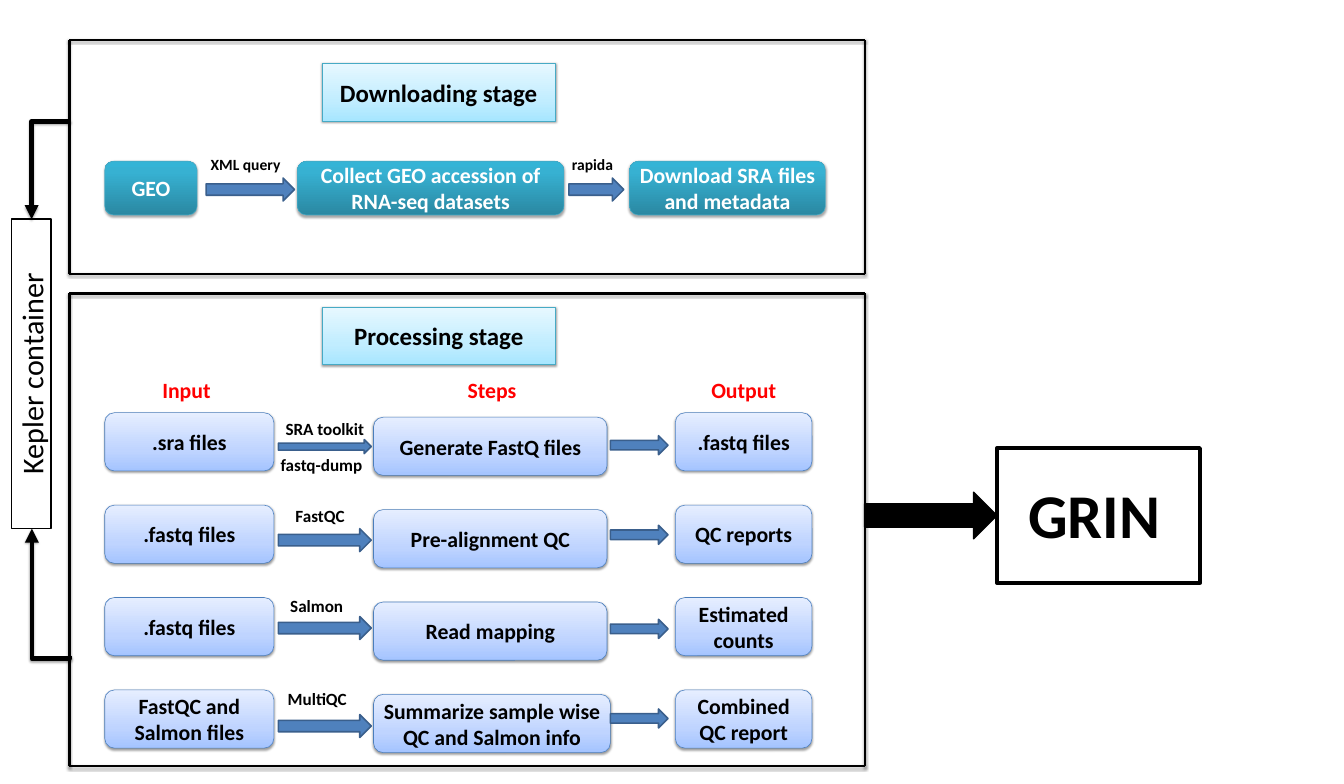
from lxml import etree
from pptx import Presentation
from pptx.dml.color import RGBColor
from pptx.enum.shapes import MSO_CONNECTOR, MSO_SHAPE
from pptx.enum.text import MSO_ANCHOR, PP_ALIGN
from pptx.oxml.ns import qn
from pptx.util import Inches, Pt

RECTANGLE, ROUNDED = MSO_SHAPE.RECTANGLE, MSO_SHAPE.ROUNDED_RECTANGLE
RIGHT_ARROW = MSO_SHAPE.RIGHT_ARROW
STRAIGHT, ELBOW = MSO_CONNECTOR.STRAIGHT, MSO_CONNECTOR.ELBOW
CENTER, MIDDLE = PP_ALIGN.CENTER, MSO_ANCHOR.MIDDLE

COLORS = {
    "black": "000000", "white": "FFFFFF", "red": "FF0000",
    "arrow": "4F81BD", "arrow edge": "3A5F8C",
    "cyan edge": "46AAC5", "blue edge": "4B7EBC",
}
GRADIENTS = {
    "stage": ((0, "A7E6FF"), (35, "C1EDFF"), (100, "E7F8FF")),
    "download": ((0, "2A88A2"), (80, "37B1D2"), (100, "34B4D6")),
    "process": ((0, "A4C4FF"), (35, "BFD4FF"), (100, "E6EEFF")),
}


def add_element(parent, tag, **attributes):
    return etree.SubElement(parent, qn(tag), attributes)


def add_color(parent, hex_color, alpha=100):
    color = add_element(parent, "a:srgbClr", val=hex_color)
    if alpha < 100:
        add_element(color, "a:alpha", val=str(alpha * 1000))


def add_shadow(effects, alpha, distance):
    """Fill an effect list with a soft shadow that falls straight down."""
    shadow = add_element(effects, "a:outerShdw", blurRad=str(Pt(3.1)), dist=str(Pt(distance)),
                         dir="5400000", rotWithShape="0")
    add_color(shadow, COLORS["black"], alpha)


class Diagram:
    def __init__(self, slide, font_name="Calibri"):
        self.slide = slide
        self.font_name = font_name

    def color(self, name):
        return RGBColor.from_string(COLORS[name])

    def set_text(self, shape, text, size, color="black", bold=True):
        frame = shape.text_frame
        frame.vertical_anchor = MIDDLE
        paragraph = frame.paragraphs[0]
        paragraph.text = text
        paragraph.alignment = CENTER
        font = paragraph.font
        font.name, font.size, font.bold = self.font_name, Pt(size), bold
        font.color.rgb = self.color(color)

    def shape(self, kind, box, fill, edge, width):
        """Add a flat shape; a fill of None leaves it open."""
        shape = self.slide.shapes.add_shape(kind, *map(Inches, box))
        shape.shadow.inherit = False
        if fill:
            shape.fill.solid()
            shape.fill.fore_color.rgb = self.color(fill)
        else:
            shape.fill.background()
        shape.line.color.rgb = self.color(edge)
        shape.line.width = Pt(width)
        return shape

    def card(self, kind, box, text, gradient, edge, size=28, color="black", shadow=(38, 1.6)):
        """Add a text box with a vertical gradient and a shadow."""
        card = self.shape(kind, box, None, edge, 0.75)
        card.fill.gradient()
        card.fill.gradient_angle = 90
        properties = card._element.spPr
        stops = properties.find(".//" + qn("a:gsLst"))
        for stop in list(stops):
            stops.remove(stop)
        for position, hex_color in GRADIENTS[gradient]:
            add_color(add_element(stops, "a:gs", pos=str(position * 1000)), hex_color)
        add_shadow(properties.find(qn("a:effectLst")), *shadow)
        self.set_text(card, text, size, color)

    def stage(self, top, text):
        self.card(RECTANGLE, (5.75, top, 4.17, 1.03), text, "stage", "cyan edge", 32)

    def download_card(self, left, width, text):
        self.card(ROUNDED, (left, 2.88, width, 0.96), text, "download", "cyan edge",
                  color="white", shadow=(35, 1.8))

    def process_card(self, left, top, width, text):
        self.card(ROUNDED, (left, top, width, 1.04), text, "process", "blue edge")

    def arrow(self, *box, fill="arrow", edge="arrow edge"):
        self.shape(RIGHT_ARROW, box, fill, edge, 2)

    def label(self, box, text, size, color="black"):
        label = self.slide.shapes.add_textbox(*map(Inches, box))
        frame = label.text_frame
        frame.word_wrap = True
        frame.margin_left = frame.margin_right = frame.margin_top = frame.margin_bottom = 0
        self.set_text(label, text, size, color)

    def line(self, kind, start, end, width):
        line = self.slide.shapes.add_connector(kind, *map(Inches, (*start, *end)))
        line.line.color.rgb = self.color("black")
        line.line.width = Pt(width)
        add_shadow(add_element(line._element.spPr, "a:effectLst"), 35, 1.8)
        return line

    def frame(self, left, top, right, bottom):
        corners = [(left, top), (right, top), (right, bottom), (left, bottom)]
        for start, end in zip(corners, corners[1:] + corners[:1]):
            self.line(STRAIGHT, start, end, 3)

    def bent_arrow(self, start, end, rotation, bend):
        """Add an elbow arrow, given before rotation; bend is in percent of its length."""
        connector = self.line(ELBOW, start, end, 6)
        properties = connector._element.spPr
        properties.find(qn("a:xfrm")).set("rot", str(rotation * 60000))
        geometry = properties.find(qn("a:prstGeom"))
        guides = geometry.find(qn("a:avLst"))
        if guides is None:
            guides = add_element(geometry, "a:avLst")
        add_element(guides, "a:gd", name="adj1", fmla=f"val {round(bend * 1000)}")
        add_element(properties.find(qn("a:ln")), "a:tailEnd", type="triangle")


def draw_downloading(diagram):
    diagram.frame(1.24, 0.71, 15.45, 4.89)
    diagram.stage(1.13, "Downloading stage")
    for left, width, text in (
        (1.87, 1.65, "GEO"),
        (5.31, 4.76, "Collect GEO accession of RNA-seq datasets"),
        (11.24, 3.5, "Download SRA files and metadata"),
    ):
        diagram.download_card(left, width, text)
    diagram.arrow(3.68, 3.18, 1.58, 0.41)
    diagram.arrow(10.16, 3.18, 0.98, 0.41)
    diagram.label((3.56, 2.7, 1.65, 0.48), "XML query", 20)
    diagram.label((9.97, 2.7, 1.22, 0.48), "rapida", 20)


def draw_processing(diagram):
    diagram.frame(1.24, 5.24, 15.45, 13.68)
    diagram.stage(5.48, "Processing stage")
    for left, width, text in ((2.48, 1.7, "Input"), (7.94, 1.69, "Steps"), (12.57, 1.42, "Output")):
        diagram.label((left, 6.72, width, 0.48), text, 28, "red")

    # Input, step, step width, output, top and height of first arrow, top of second arrow
    rows = (
        (".sra files", "Generate FastQ files", 4.17, ".fastq files", 7.85, 0.25, 7.78),
        (".fastq files", "Pre-alignment QC", 4.17, "QC reports", 9.44, 0.41, 9.38),
        (".fastq files", "Read mapping", 4.17, "Estimated counts", 11.01, 0.41, 11.06),
        ("FastQC and Salmon files", "Summarize sample wise QC and Salmon info", 4.23,
         "Combined QC report", 12.76, 0.41, 12.66),
    )
    for index, (source, step, step_width, output, first_top, height, second_top) in enumerate(rows):
        top = 7.37 + 1.65 * index
        diagram.process_card(1.87, top, 3.02, source)
        diagram.process_card(6.67, top + 0.08, step_width, step)
        diagram.process_card(12.06, top, 2.44, output)
        diagram.arrow(4.97, first_top, 1.66, height)
        diagram.arrow(10.9, second_top, 1.03, 0.34)
    for left, top, width, height, text in (
        (4.97, 7.44, 1.66, 0.42, "SRA toolkit"),
        (4.85, 8, 1.78, 0.6, "fastq-dump"),
        (4.89, 8.96, 1.65, 0.48, "FastQC"),
        (4.97, 10.6, 1.37, 0.43, "Salmon"),
        (4.97, 12.18, 1.39, 0.6, "MultiQC"),
    ):
        diagram.label((left, top, width, height), text, 22)


def draw_container_and_result(diagram):
    container = diagram.shape(RECTANGLE, (-2.2, 6.32, 5.52, 0.71), "white", "black", 2)
    container.rotation = 270
    diagram.set_text(container, "Kepler container", 38.7, bold=False)
    diagram.bent_arrow((0.02, 2.7), (1.78, 3.37), 90, 0.8)
    diagram.bent_arrow((-0.23, 10.91), (2.04, 10.24), 270, -2.3)
    diagram.arrow(15.44, 8.79, 2.36, 0.83, fill="black", edge="black")
    diagram.shape(RECTANGLE, (17.8, 8, 3.63, 2.41), None, "black", 4.5)
    diagram.label((18.04, 8.58, 3, 1.19), "GRIN", 80)


def main():
    presentation = Presentation()
    presentation.slide_width, presentation.slide_height = Inches(24), Inches(14)
    blank_layout = presentation.slide_layouts[6]
    diagram = Diagram(presentation.slides.add_slide(blank_layout))
    draw_downloading(diagram)
    draw_processing(diagram)
    draw_container_and_result(diagram)
    presentation.save("out.pptx")


if __name__ == "__main__":
    main()
